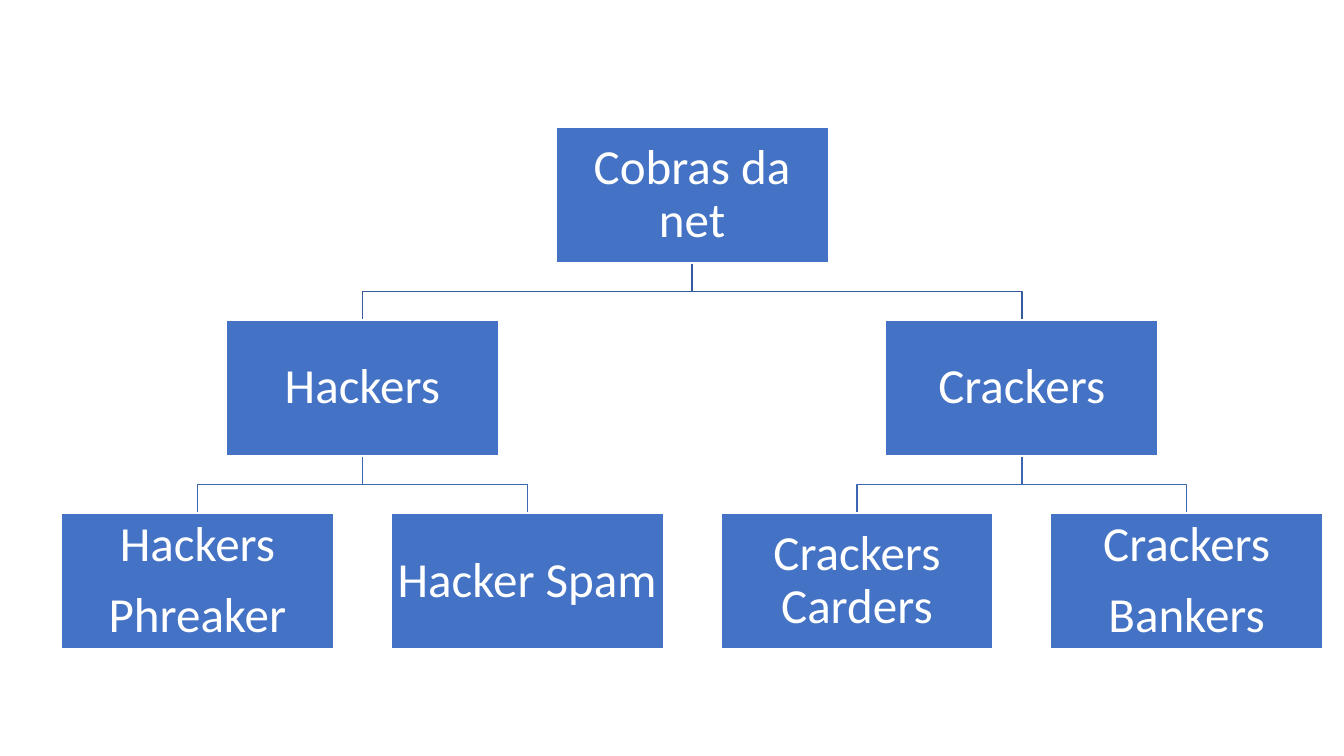
from pptx import Presentation
from pptx.dml.color import RGBColor
from pptx.enum.shapes import MSO_SHAPE
from pptx.enum.text import MSO_ANCHOR, PP_ALIGN
from pptx.util import Inches, Pt

COLORS = {"box": "4472C4", "edge": "FFFFFF", "text": "FFFFFF",
          "upper": "365B9D", "lower": "3E67B2"}

# Grid: box centres by column, box tops by row
LEFT, COL = 1.96, 3.27
TOP, ROW = 1.26, 1.915
WIDTH, HEIGHT = 2.7, 1.35

# Name: (column, row, paragraphs, parent)
NODES = {
    "root": (1.5, 0, ["Cobras da net"], None),
    "hack": (0.5, 1, ["Hackers"], "root"),
    "phreak": (0, 2, ["Hackers", "Phreaker"], "hack"),
    "spam": (1, 2, ["Hacker Spam"], "hack"),
    "crack": (2.5, 1, ["Crackers"], "root"),
    "card": (2, 2, ["Crackers Carders"], "crack"),
    "bank": (3, 2, ["Crackers", "Bankers"], "crack"),
}


def color(name):
    return RGBColor.from_string(COLORS[name])


def center(col):
    return LEFT + col * COL


def top(row):
    return TOP + row * ROW


def write(frame, lines, size=35, font="Calibri", tint="text", align=PP_ALIGN.CENTER):
    frame.word_wrap = True
    frame.vertical_anchor = MSO_ANCHOR.MIDDLE
    frame.margin_left = frame.margin_right = Inches(0.02)
    frame.margin_top = frame.margin_bottom = Inches(0.02)
    for i, line in enumerate(lines):
        para = frame.paragraphs[0] if i == 0 else frame.add_paragraph()
        para.alignment = align
        para.line_spacing = 0.9
        para.space_after = Pt(size * 0.35)
        run = para.add_run()
        run.text = line
        run.font.size = Pt(size)
        run.font.name = font
        run.font.color.rgb = color(tint)


def add_box(shapes, col, row, lines):
    box = shapes.add_shape(MSO_SHAPE.RECTANGLE, Inches(center(col) - WIDTH / 2),
                           Inches(top(row)), Inches(WIDTH), Inches(HEIGHT))
    box.shadow.inherit = False
    box.fill.solid()
    box.fill.fore_color.rgb = color("box")
    box.line.color.rgb = color("edge")
    box.line.width = Pt(1)
    write(box.text_frame, lines)


def add_link(shapes, start, end, row):
    # Elbow from the parent's foot to the child's top, bent halfway
    x1, x2 = center(start), center(end)
    y1, y2 = top(row - 1) + HEIGHT, top(row)
    mid = (y1 + y2) / 2
    pen = shapes.build_freeform(Inches(x1), Inches(y1))
    pen.add_line_segments([(Inches(x), Inches(y)) for x, y in
                           ((x1, mid), (x2, mid), (x2, y2))], close=False)
    link = pen.convert_to_shape()
    link.shadow.inherit = False
    link.fill.background()
    link.line.color.rgb = color("upper" if row == 1 else "lower")
    link.line.width = Pt(1)


def main():
    deck = Presentation()
    deck.slide_width, deck.slide_height = Inches(13.33), Inches(7.5)
    slide = deck.slides.add_slide(deck.slide_layouts[6])
    tree = slide.shapes.add_group_shape().shapes

    # Links lie behind the boxes
    for col, row, _, parent in reversed(NODES.values()):
        if parent:
            add_link(tree, NODES[parent][0], col, row)

    # Boxes
    for col, row, lines, _ in NODES.values():
        add_box(tree, col, row, lines)

    deck.save("out.pptx")


if __name__ == "__main__":
    main()
